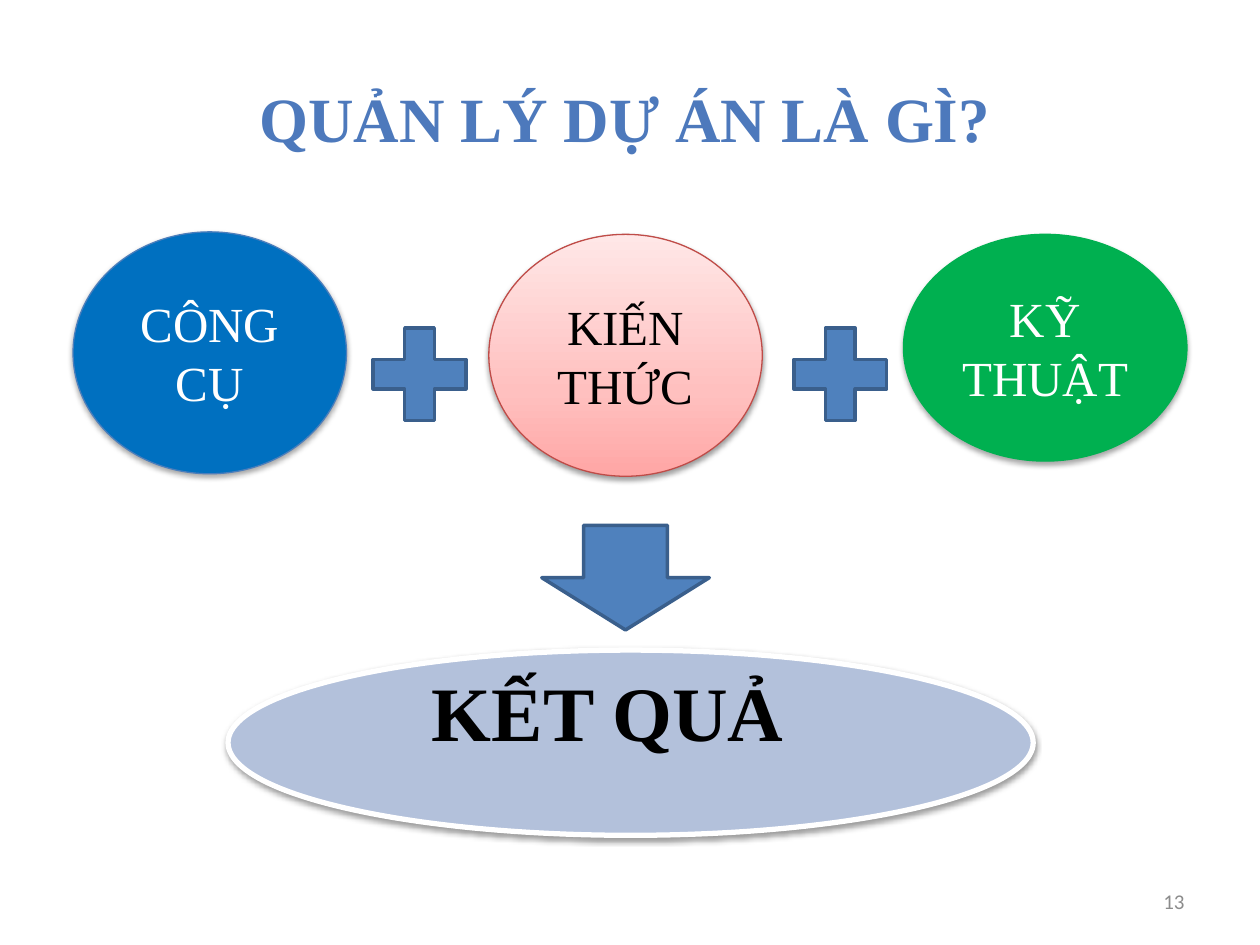
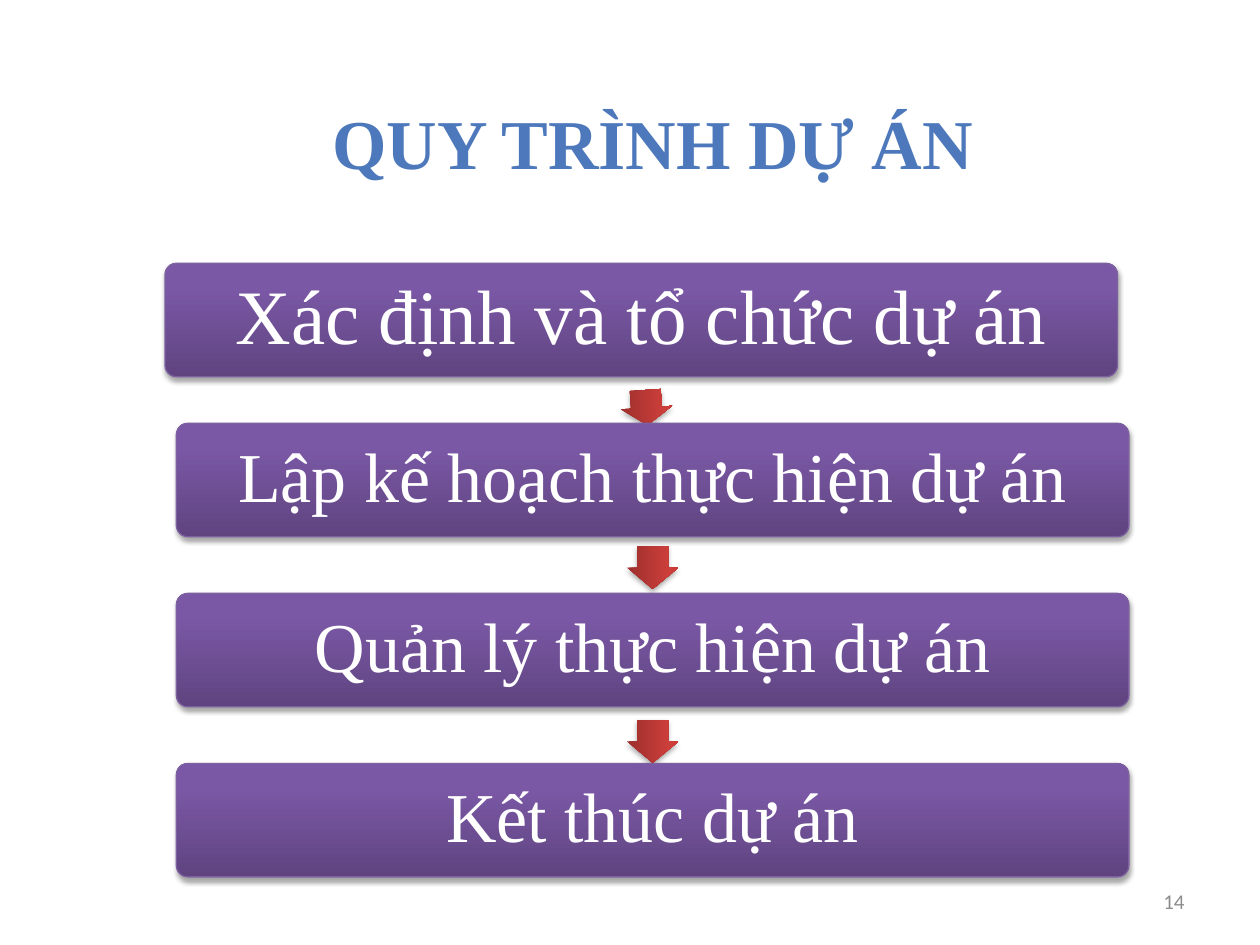
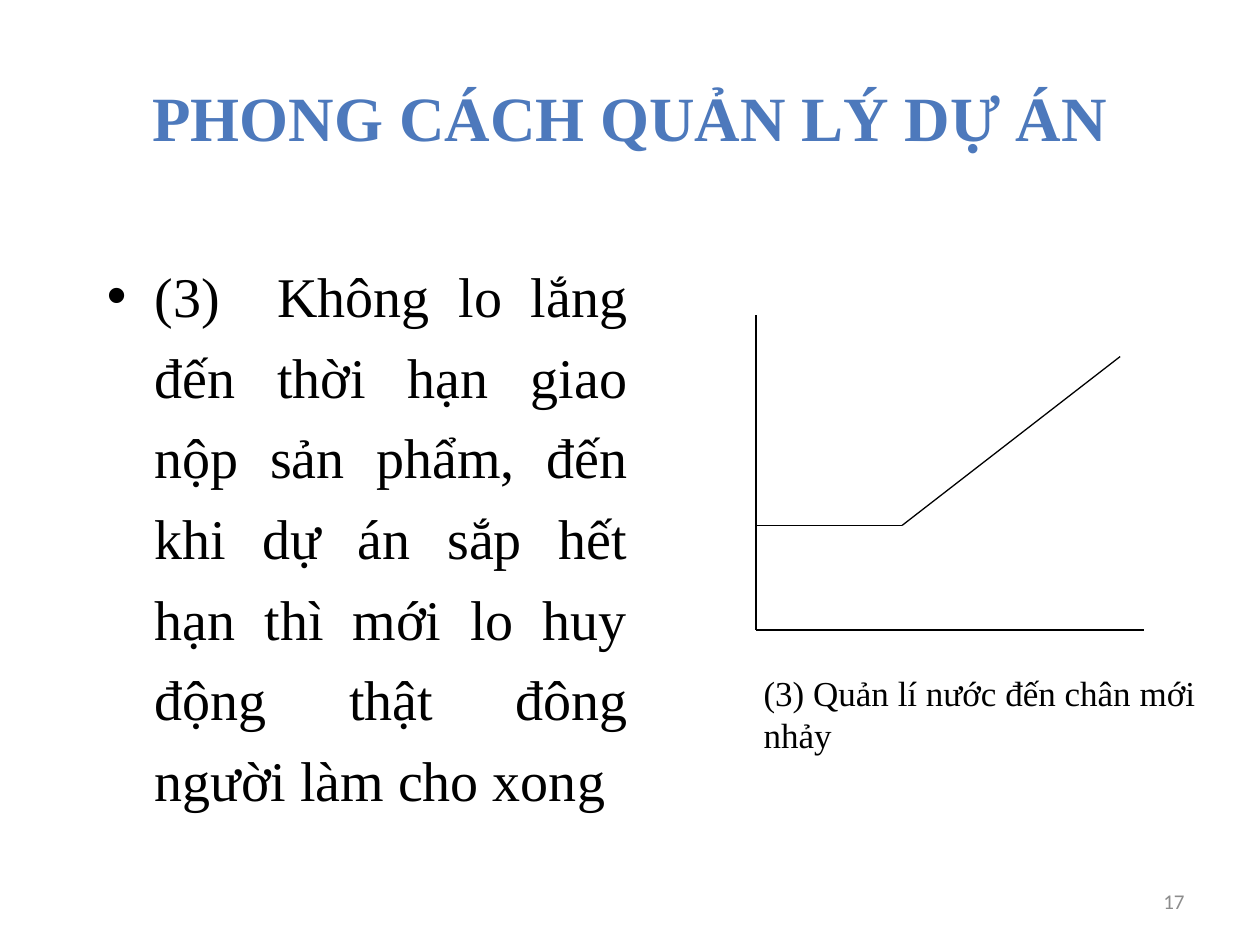
from dataclasses import dataclass
from typing import Optional

from lxml import etree
from pptx import Presentation
from pptx import util as u
from pptx.dml import color
from pptx.enum import shapes, text
from pptx.oxml import ns

KIND = shapes.MSO_SHAPE
ALIGN = text.PP_ALIGN
MID = text.MSO_ANCHOR.MIDDLE
TOP = text.MSO_ANCHOR.TOP
SERIF = "Times New Roman"

HUES = {
    "title": "4D79BC", "black": "000000", "white": "FFFFFF", "page": "8C8C8C",
    "tool": "0070C0", "rim": "4B7EBC", "skill": "00B050", "rose": "BF4C48",
    "blue": "4F81BD", "navy": "3A5F8C", "pale": "B3C1DB", "plum": "7D60A0",
}
BLENDS = {
    "pink": ((0, "FFA6A5"), (35, "FFC0BF"), (100, "FFE7E7")),
    "violet": ((0, "5F4480"), (80, "7B58A6"), (100, "7C57A8")),
    "red": ((0, "9C2F2D"), (80, "CB3E3A"), (100, "CE3B37")),
}


@dataclass(frozen=True)
class Box:
    left: float
    top: float
    width: float
    height: float

    def spans(self) -> tuple:
        return tuple(map(u.Inches, (self.left, self.top, self.width, self.height)))


@dataclass(frozen=True)
class Form:
    kind: KIND
    box: Box
    fill: str
    line: Optional[str] = None
    weight: float = 0.75
    shade: Optional[tuple] = None
    turn: float = 0
    adjust: tuple = ()
    label: str = ""
    size: int = 28
    ink: str = "white"
    inset: float = 0.1
    lead: Optional[float] = None


def tint(name: str) -> color.RGBColor:
    return color.RGBColor.from_string(HUES[name])


def add(parent, tag: str, **traits):
    return etree.SubElement(parent, ns.qn(tag), {k: str(v) for k, v in traits.items()})


def put(frame, words: str, size: float = 28, ink: str = "black", bold: bool = False,
        font: str = SERIF, align=ALIGN.LEFT, anchor=TOP, inset: tuple = (0.1, 0.05),
        lead: Optional[float] = None, before: float = 0, wrap: bool = True):
    frame.word_wrap = wrap
    frame.auto_size = text.MSO_AUTO_SIZE.NONE
    frame.vertical_anchor = anchor
    frame.margin_left = frame.margin_right = u.Inches(inset[0])
    frame.margin_top = frame.margin_bottom = u.Inches(inset[1])
    para = frame.paragraphs[0]
    para.alignment = align
    para.space_before = u.Pt(before)
    if lead:
        para.line_spacing = lead
    run = para.add_run()
    run.text = words
    run.font.name, run.font.size, run.font.bold = font, u.Pt(size), bold
    run.font.color.rgb = tint(ink)
    return para


def note(slide, box: Box, words: str, **style):
    return put(slide.shapes.add_textbox(*box.spans()).text_frame, words, **style)


def blend(shape, name: str) -> None:
    shape.fill.gradient()
    shape.fill.gradient_angle = 90
    stops = shape._element.spPr.find(ns.qn("a:gradFill")).find(ns.qn("a:gsLst"))
    for stop in list(stops):
        stops.remove(stop)
    for spot, hue in BLENDS[name]:
        add(add(stops, "a:gs", pos=spot * 1000), "a:srgbClr", val=hue)


def cast(shape, alpha: int, drop: float) -> None:
    effects = shape._element.spPr.find(ns.qn("a:effectLst"))
    shade = add(effects, "a:outerShdw", blurRad=u.Pt(3.1), dist=u.Pt(drop),
                dir=5400000, rotWithShape=0)
    add(add(shade, "a:srgbClr", val=HUES["black"]), "a:alpha", val=alpha * 1000)


def draw(slide, form: Form) -> None:
    shape = slide.shapes.add_shape(form.kind, *form.box.spans())
    shape.rotation = form.turn
    for i, value in enumerate(form.adjust):
        shape.adjustments[i] = value
    if form.fill in BLENDS:
        blend(shape, form.fill)
    else:
        shape.fill.solid()
        shape.fill.fore_color.rgb = tint(form.fill)
    if form.line:
        shape.line.color.rgb = tint(form.line)
        shape.line.width = u.Pt(form.weight)
    else:
        shape.line.fill.background()
    shape.shadow.inherit = False
    if form.shade:
        cast(shape, *form.shade)
    if form.label:
        put(shape.text_frame, form.label, size=form.size, ink=form.ink, align=ALIGN.CENTER,
            anchor=MID, inset=(form.inset, form.inset), lead=form.lead)


def rule(slide, start: tuple, end: tuple) -> None:
    line = slide.shapes.add_connector(shapes.MSO_CONNECTOR.STRAIGHT,
                                      *map(u.Inches, start + end))
    line.line.color.rgb = tint("black")
    line.line.width = u.Pt(0.75)
    add(line._element.spPr, "a:effectLst")


def start(deck, title: str, page: int, box: Box, size: int = 36):
    slide = deck.slides.add_slide(deck.slide_layouts[5])
    head = slide.shapes.title
    head.left, head.top, head.width, head.height = box.spans()
    put(head.text_frame, title, size=size, ink="title", bold=True,
        align=ALIGN.CENTER, anchor=MID, wrap=False)
    note(slide, Box(7.17, 6.95, 2.33, 0.4), str(page), size=12, ink="page",
         font="Calibri", align=ALIGN.RIGHT, anchor=MID)
    return slide


SOFT, DEEP = (35, 1.8), (38, 1.6)


def define(deck) -> None:
    slide = start(deck, "QUẢN LÝ DỰ ÁN LÀ GÌ?", 13, Box(1.93, 0.58, 6.06, 0.71))
    forms = [
        Form(KIND.OVAL, Box(1.81, 5.16, 6.39, 1.47), "pale", "white", 3, DEEP),
        Form(KIND.OVAL, Box(0.58, 1.84, 2.17, 1.92), "tool", "rim", shade=SOFT,
             label="CÔNG CỤ"),
        Form(KIND.OVAL, Box(3.88, 1.86, 2.17, 1.92), "pink", "rose", shade=DEEP,
             label="KIẾN THỨC", ink="black"),
        Form(KIND.OVAL, Box(7.17, 1.86, 2.25, 1.8), "skill", "skill", shade=SOFT,
             label="KỸ THUẬT"),
        Form(KIND.DOWN_ARROW, Box(4.3, 4.17, 1.33, 0.83), "blue", "navy", 2),
    ]
    forms += [Form(KIND.MATH_PLUS, Box(left, 2.47, 1, 1), "blue", "navy", 2)
              for left in (2.83, 6.17)]
    for form in forms:
        draw(slide, form)
    note(slide, Box(3.33, 5.25, 3.08, 0.78), "KẾT QUẢ", size=44, bold=True, anchor=MID)


def process(deck) -> None:
    slide = start(deck, "QUY TRÌNH DỰ ÁN", 14, Box(2.51, 0.74, 5.34, 0.77), 40)
    arrows = ((Box(4.99, 3.03, 0.28, 0.41), 86.1),
              (Box(5.01, 4.3, 0.34, 0.41), 90),
              (Box(5.01, 5.68, 0.34, 0.41), 90))
    for box, turn in arrows:
        draw(slide, Form(KIND.RIGHT_ARROW, box, "red", shade=SOFT, turn=turn,
                         adjust=(0.6, 0.5)))
    steps = (("Xác định và tổ chức dự án", 1.31, 2.09, 44),
             ("Lập kế hoạch thực hiện dự án", 1.4, 3.36, 40),
             ("Quản lý thực hiện dự án", 1.4, 4.71, 40),
             ("Kết thúc dự án", 1.4, 6.06, 40))
    for label, left, top, size in steps:
        draw(slide, Form(KIND.ROUNDED_RECTANGLE, Box(left, top, 7.56, 0.9), "violet",
                         "plum", shade=SOFT, adjust=(0.1,), label=label, size=size,
                         inset=0.17, lead=0.9))


def manage(deck) -> None:
    slide = start(deck, "PHONG CÁCH QUẢN LÝ DỰ ÁN", 17, Box(0.5, 0.3, 9, 1.25))
    para = note(slide, Box(0.75, 1.92, 4.33, 4.5),
                "(3)  Không lo lắng đến thời hạn giao nộp sản phẩm, đến khi dự án sắp hết "
                "hạn thì mới lo huy động thật đông người làm cho xong",
                size=32, align=ALIGN.JUSTIFY, lead=1.2, before=6.4)
    props = para._p.get_or_add_pPr()
    props.set("marL", str(u.Inches(0.38)))
    props.set("indent", str(u.Inches(-0.38)))
    add(props, "a:buFont", typeface="Arial")
    add(props, "a:buChar", char="•")
    base, bend = (6, 5), (7.16, 4.17)
    for ends in (((6, 2.5), base), (base, (9.08, 5)), ((6, 4.17), bend), (bend, (8.89, 2.83))):
        rule(slide, *ends)
    note(slide, Box(6.04, 5.32, 3.67, 0.53), "(3) Quản lí nước đến chân mới nhảy",
         size=20, inset=(0.02, 0.01))


def main() -> None:
    deck = Presentation()
    deck.slide_width, deck.slide_height = u.Inches(10), u.Inches(7.5)
    for build in (define, process, manage):
        build(deck)
    deck.save("out.pptx")


if __name__ == "__main__":
    main()
